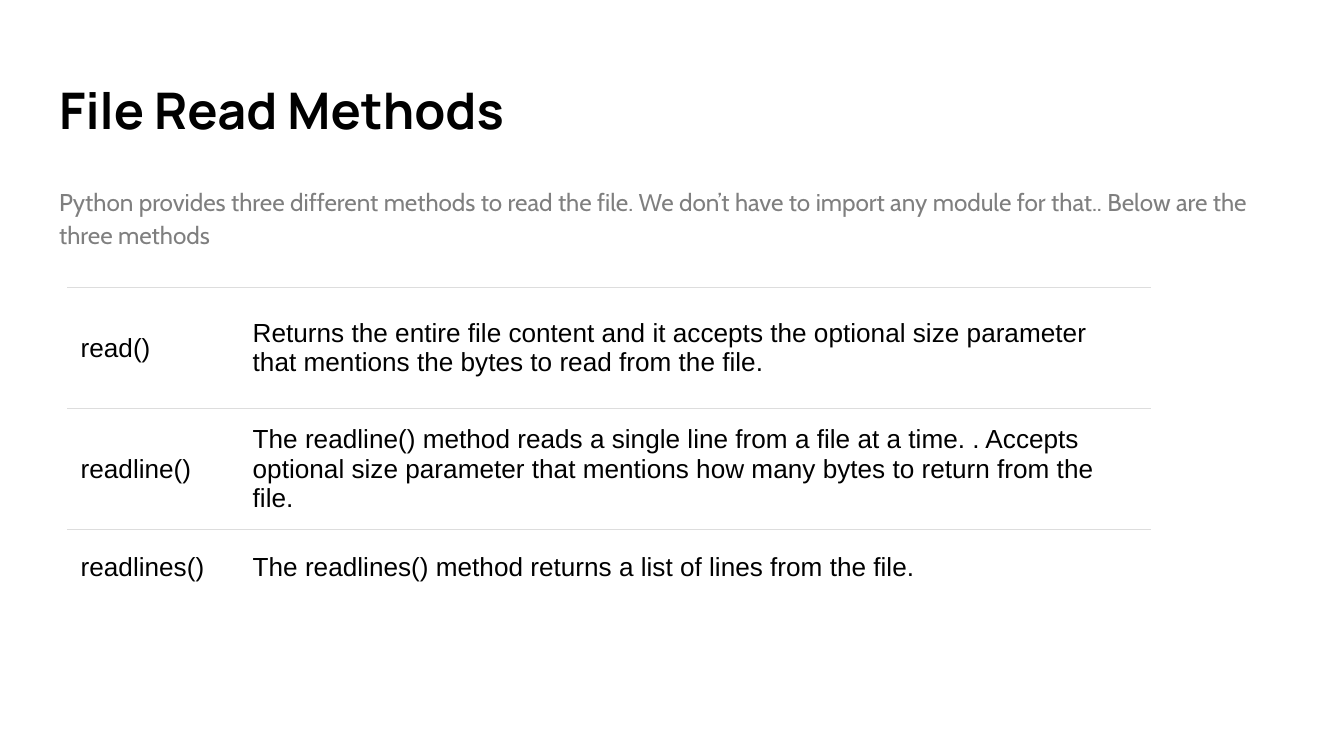
import pptx
import pptx.dml.color
import pptx.enum.text
import pptx.oxml
import pptx.oxml.ns
import pptx.util

Pt = pptx.util.Pt
ANCHOR = pptx.enum.text.MSO_ANCHOR
ALIGN = pptx.enum.text.PP_ALIGN


def color(hex_value):
    return pptx.dml.color.RGBColor.from_string(hex_value)


def write_text(frame, text, font_format, paragraph_format):
    paragraph = frame.paragraphs[0]
    run = paragraph.add_run()
    run.text = text
    run.font.color.rgb = color(font_format["color"])
    for name in ("name", "size", "bold"):
        setattr(run.font, name, font_format[name])
    for name, value in paragraph_format.items():
        setattr(paragraph, name, value)
    return paragraph


presentation = pptx.Presentation()
presentation.slide_width = Pt(720)
presentation.slide_height = Pt(405)
slide = presentation.slides.add_slide(presentation.slide_layouts[1])
title = slide.shapes.title
body = slide.placeholders[1]

for shape, top, height in ((title, 35.3, 49), (body, 90.7, 269.3)):
    box = {"left": Pt(24.5), "top": Pt(top), "width": Pt(671), "height": Pt(height)}
    for name, value in box.items():
        setattr(shape, name, value)
    frame_format = {
        "margin_left": Pt(7.2),
        "margin_top": Pt(7.2),
        "margin_right": Pt(7.2),
        "margin_bottom": Pt(7.2),
        "vertical_anchor": ANCHOR.TOP,
        "word_wrap": True,
        "auto_size": pptx.enum.text.MSO_AUTO_SIZE.NONE,
    }
    for name, value in frame_format.items():
        setattr(shape.text_frame, name, value)

write_text(
    title.text_frame,
    "File Read Methods",
    {"name": "Manrope", "size": Pt(27), "bold": True, "color": "000000"},
    {"alignment": ALIGN.LEFT},
)
introduction = write_text(
    body.text_frame,
    "Python provides three different methods to read the file. We don’t have to "
    "import any module for that.. Below are the three methods",
    {"name": "Cabin", "size": Pt(13), "bold": False, "color": "7F7F7F"},
    {
        "alignment": ALIGN.LEFT,
        "line_spacing": 1.15,
        "space_before": Pt(0),
        "space_after": Pt(12),
    },
)
properties = introduction._p.get_or_add_pPr()
properties.set("marL", "0")
properties.set("indent", "0")
properties.append(
    pptx.oxml.parse_xml(f"<a:buNone {pptx.oxml.ns.nsdecls('a')}/>")
)

methods = [
    (
        "read()",
        "Returns the entire file content and it accepts the optional size parameter "
        "that mentions the bytes to read from the file.",
    ),
    (
        "readline()",
        "The readline() method reads a single line from a file at a time. . Accepts "
        "optional size parameter that mentions how many bytes to return from the file.",
    ),
    ("readlines()", "The readlines() method returns a list of lines from the file."),
]
column_widths = [92.2, 488.2]
row_heights = [64.8, 64.8, 40.3]
table = slide.shapes.add_table(
    len(methods),
    len(column_widths),
    Pt(36),
    Pt(154.1),
    Pt(sum(column_widths)),
    Pt(sum(row_heights)),
).table
table.first_row = False
table.horz_banding = False
for column, width in zip(table.columns, column_widths):
    column.width = Pt(width)
for row, height in zip(table.rows, row_heights):
    row.height = Pt(height)

cell_format = {
    "margin_left": Pt(7.2),
    "margin_top": Pt(7.2),
    "margin_right": Pt(7.2),
    "margin_bottom": Pt(7.2),
    "vertical_anchor": ANCHOR.MIDDLE,
}
no_line = "<a:noFill/>"
gray_line = '<a:solidFill><a:srgbClr val="DDDDDD"/></a:solidFill>'
for row_index, texts in enumerate(methods):
    is_last = row_index == len(methods) - 1
    borders = {
        "lnL": no_line,
        "lnR": no_line,
        "lnT": gray_line,
        "lnB": no_line if is_last else gray_line,
    }
    for column_index, text in enumerate(texts):
        cell = table.cell(row_index, column_index)
        for name, value in cell_format.items():
            setattr(cell, name, value)
        for tag, line_fill in borders.items():
            cell._tc.get_or_add_tcPr().append(
                pptx.oxml.parse_xml(
                    f'<a:{tag} {pptx.oxml.ns.nsdecls("a")} w="{Pt(0.75)}">'
                    f"{line_fill}</a:{tag}>"
                )
            )
        cell.fill.background()
        write_text(
            cell.text_frame,
            text,
            {"name": "Arial", "size": Pt(14), "bold": False, "color": "000000"},
            {"alignment": ALIGN.LEFT},
        )

presentation.save("out.pptx")
